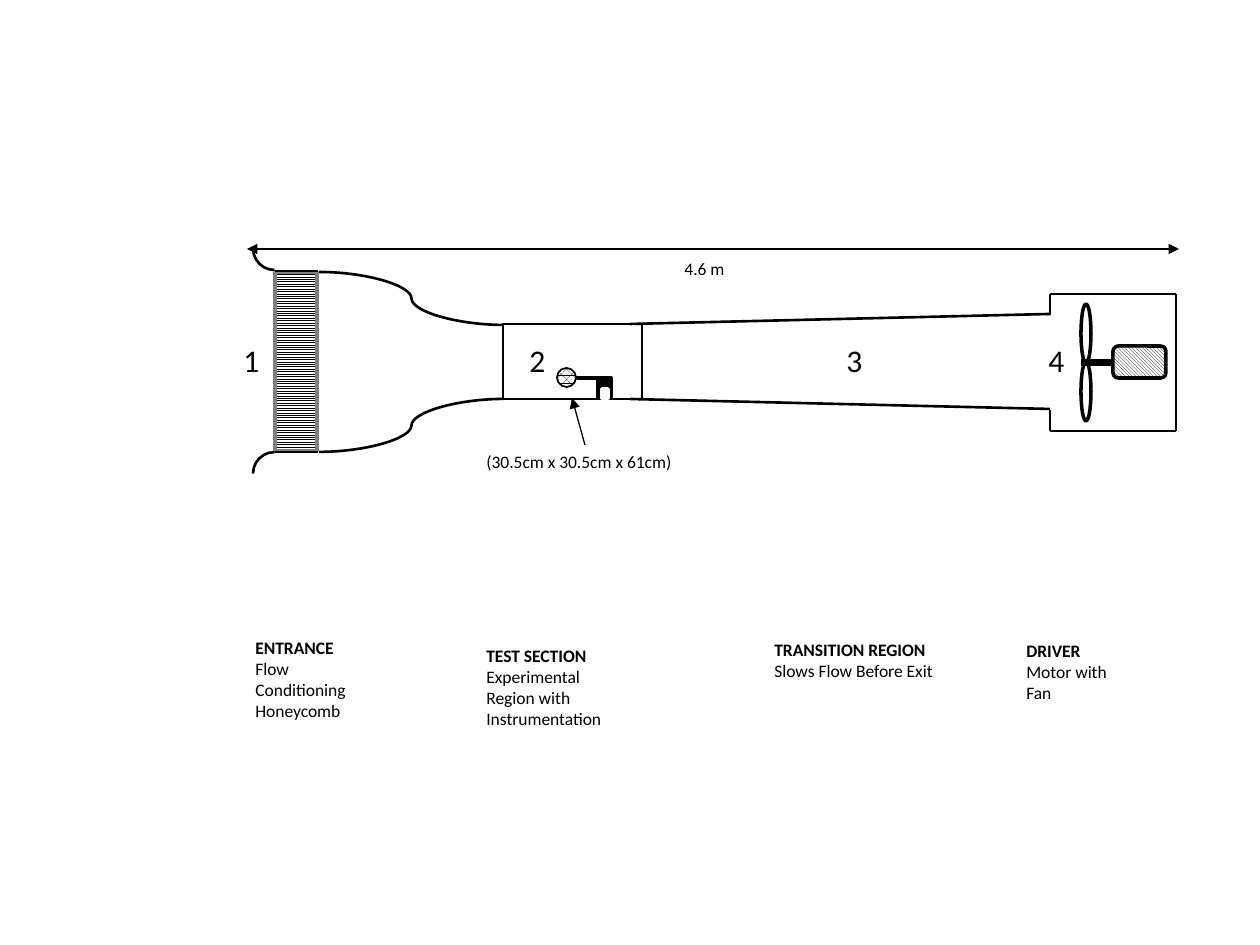
import pptx
import pptx.dml.color
import pptx.enum.dml
import pptx.enum.shapes
import pptx.oxml
import pptx.oxml.ns
import pptx.util

SCALE = 914400 / 126
INK, PAPER, FRAME = "000000", "FFFFFF", "808080"
SHAPE = pptx.enum.shapes.MSO_SHAPE
CONNECTOR = pptx.enum.shapes.MSO_CONNECTOR
PATTERN = pptx.enum.dml.MSO_PATTERN


def px(length):
    """Turn pixels into EMU."""
    return pptx.util.Emu(round(length * SCALE))


def paint(color_format, value):
    """Give a colour format a hex colour."""
    color_format.rgb = pptx.dml.color.RGBColor.from_string(value)


def add_line(slide, start, end, weight=1.5, arrows=(), kind=CONNECTOR.STRAIGHT):
    """Draw a connector with arrowheads at the named ends."""
    line = slide.shapes.add_connector(kind, *map(px, start + end))
    line.line.width = pptx.util.Pt(weight)
    paint(line.line.color, INK)
    for arrow in arrows:
        head = pptx.oxml.parse_xml(
            f'<a:{arrow} {pptx.oxml.ns.nsdecls("a")} type="triangle"/>')
        line.line._get_or_add_ln().append(head)
    effects = pptx.oxml.parse_xml(f'<a:effectLst {pptx.oxml.ns.nsdecls("a")}/>')
    line._element.spPr.append(effects)


def add_part(slide, kind, box, weight=2, fill=None, pattern=None, outline=INK, turn=0):
    """Draw an outlined part with a solid, patterned or empty inside."""
    part = slide.shapes.add_shape(kind, *map(px, box))
    part.shadow.inherit = False
    part.rotation = turn
    part.line.width = pptx.util.Pt(weight)
    paint(part.line.color, outline)
    if pattern is not None:
        part.fill.patterned()
        part.fill.pattern = pattern
        paint(part.fill.fore_color, INK)
        paint(part.fill.back_color, PAPER)
    elif fill:
        part.fill.solid()
        paint(part.fill.fore_color, fill)
    else:
        part.fill.background()


def add_label(slide, box, paragraphs, size=10):
    """Place text; each paragraph is a list of (wording, bold) runs."""
    frame = slide.shapes.add_textbox(*map(px, box)).text_frame
    frame.word_wrap = True
    for index, pieces in enumerate(paragraphs):
        paragraph = frame.add_paragraph() if index else frame.paragraphs[0]
        for wording, bold in pieces:
            run = paragraph.add_run()
            run.text = wording
            run.font.name = "Calibri"
            run.font.size = pptx.util.Pt(size)
            run.font.bold = bold
            paint(run.font.color, INK)


def draw_entrance(slide, x, y):
    """Draw the inlet lips, honeycomb and contraction."""
    add_part(slide, SHAPE.RECTANGLE, (x + 22, y + 45, 42, 179),
             pattern=PATTERN.LIGHT_HORIZONTAL, outline=FRAME)
    for lip, turn, wall, throat in ((0, 180, 44, 98), (225, 270, 225, 172)):
        add_part(slide, SHAPE.ARC, (x, y + lip, 43, 43), 1.5, turn=turn)
        add_line(slide, (x + 65, y + wall), (x + 22, y + wall))
        add_line(slide, (x + 66, y + wall + (lip == 0)), (x + 251, y + throat),
                 kind=CONNECTOR.CURVE)


def draw_test_section(slide, x, y):
    """Draw the test chamber, its instrument and its dimensions."""
    width, height = 139, 75
    add_part(slide, SHAPE.RECTANGLE, (x, y, width, height), 1)
    for wall in (y, y + height):
        add_line(slide, (x + 127, wall), (x + 1, wall))
    add_part(slide, SHAPE.RECTANGLE, (x + 95, y + 54, 13, 19), fill=INK)
    add_part(slide, SHAPE.RECTANGLE, (x + 74, y + 54, 34, 0), fill=INK)
    add_part(slide, SHAPE.OVAL, (x + 54, y + 44, 19, 19), 1, pattern=PATTERN.PERCENT_60)
    add_part(slide, SHAPE.RECTANGLE, (x + 99, y + 65, 6, 9), fill=PAPER, outline=PAPER)
    add_label(slide, (x - 29, y + 121, 246, 34), [[("(30.5cm x 30.5cm x 61cm)", False)]])
    add_line(slide, (x + 82, y + 121), (x + 69, y + 74), 0.75, ("tailEnd",))


def draw_transition(slide, x, y):
    """Draw the two widening walls."""
    length, height, spread = 420, 75, 10
    add_line(slide, (x, y), (x + length, y - spread))
    add_line(slide, (x, y + height), (x + length, y + height + spread))


def draw_driver(slide, x, y):
    """Draw the housing, motor, shaft and fan."""
    width, height, flange = 126, 137, 21
    for wall in (y, y + height):
        add_line(slide, (x + width, wall), (x, wall))
    for top in (y, y + height - flange):
        add_line(slide, (x, top), (x, top + flange))
    add_line(slide, (x + width, y + height), (x + width, y))
    add_part(slide, SHAPE.ROUNDED_RECTANGLE, (x + 63, y + 52, 53, 32),
             pattern=PATTERN.DARK_DOWNWARD_DIAGONAL)
    add_line(slide, (x + 63, y + 69), (x + 31, y + 69), 4)
    for blade in (y + 10, y + 68):
        add_part(slide, SHAPE.OVAL, (x + 31, blade, 10, 59))


def draw_overall_length(slide, x, y):
    """Draw the overall dimension arrow and its value."""
    add_line(slide, (x, y), (x + 932, y), 0.75, ("headEnd", "tailEnd"))
    add_label(slide, (x + 425, y + 3, 106, 34), [[("4.6 m", False)]])


def add_legend(slide, x, y):
    """Number the four regions and describe them below the tunnel."""
    for number, left in enumerate((0, 286, 603, 805), 1):
        add_label(slide, (x + left, y, 32, 50), [[(str(number), False)]], 18)
    captions = (
        ((12, 296, 125, 97),
         [[("ENTRANCE", True), (" Flow Conditioning Honeycomb", False)]]),
        ((243, 304, 142, 97),
         [[("TEST SECTION ", True), ("Experimental Region with Instrumentation", False)]]),
        ((531, 298, 190, 55),
         [[("TRANSITION REGION", True)], [("Slows Flow Before Exit", False)]]),
        ((783, 299, 125, 77),
         [[("DRIVER ", True), ("Motor with Fan", False)]]),
    )
    for (left, top, width, height), paragraphs in captions:
        add_label(slide, (x + left, y + top, width, height), paragraphs)


deck = pptx.Presentation()
deck.slide_width, deck.slide_height = px(1260), px(945)
tunnel = deck.slides.add_slide(deck.slide_layouts[6])
draw_transition(tunnel, 630, 324)
draw_driver(tunnel, 1050, 294)
draw_test_section(tunnel, 503, 324)
draw_entrance(tunnel, 253, 227)
add_legend(tunnel, 231, 335)
draw_overall_length(tunnel, 247, 249)
deck.save("out.pptx")
